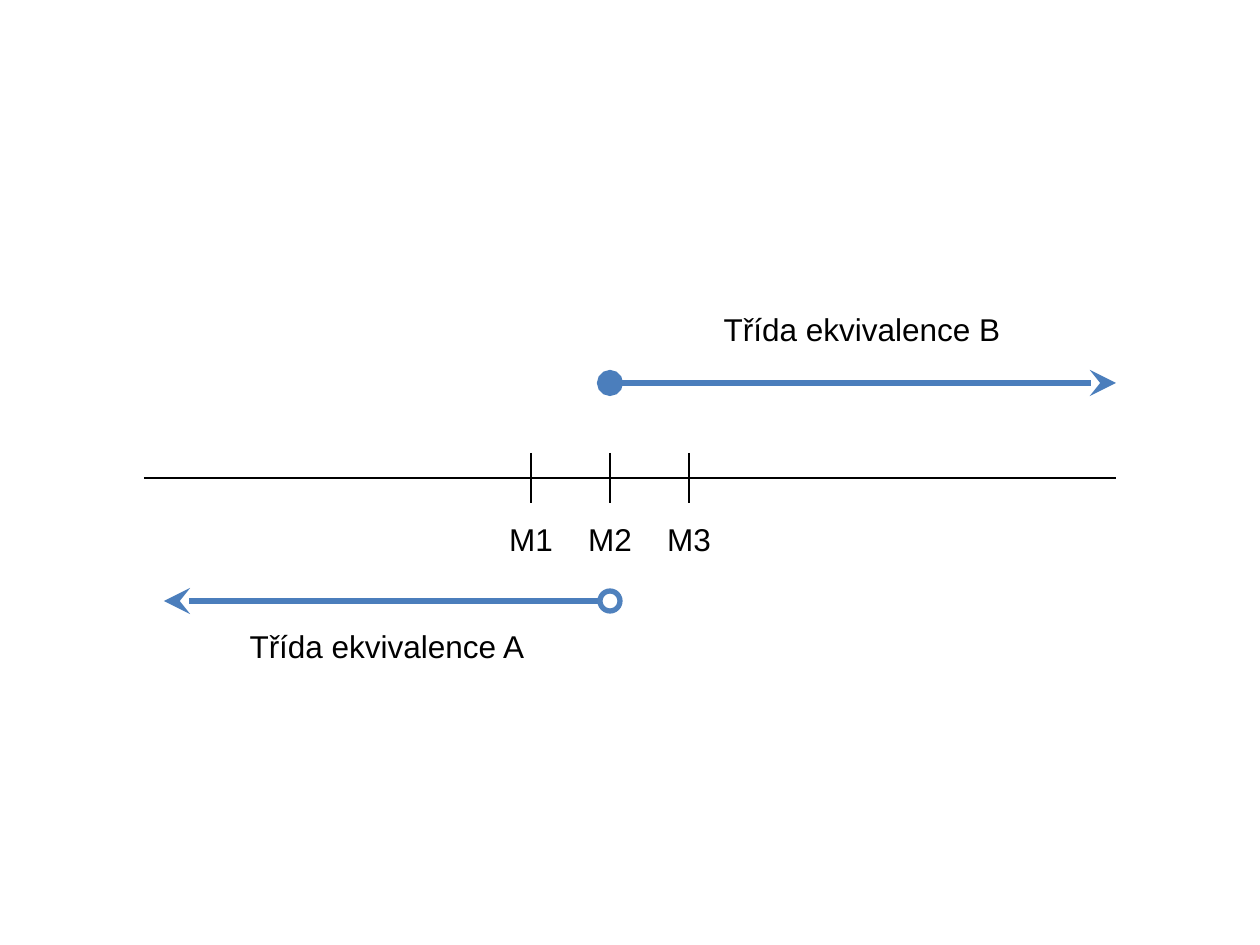
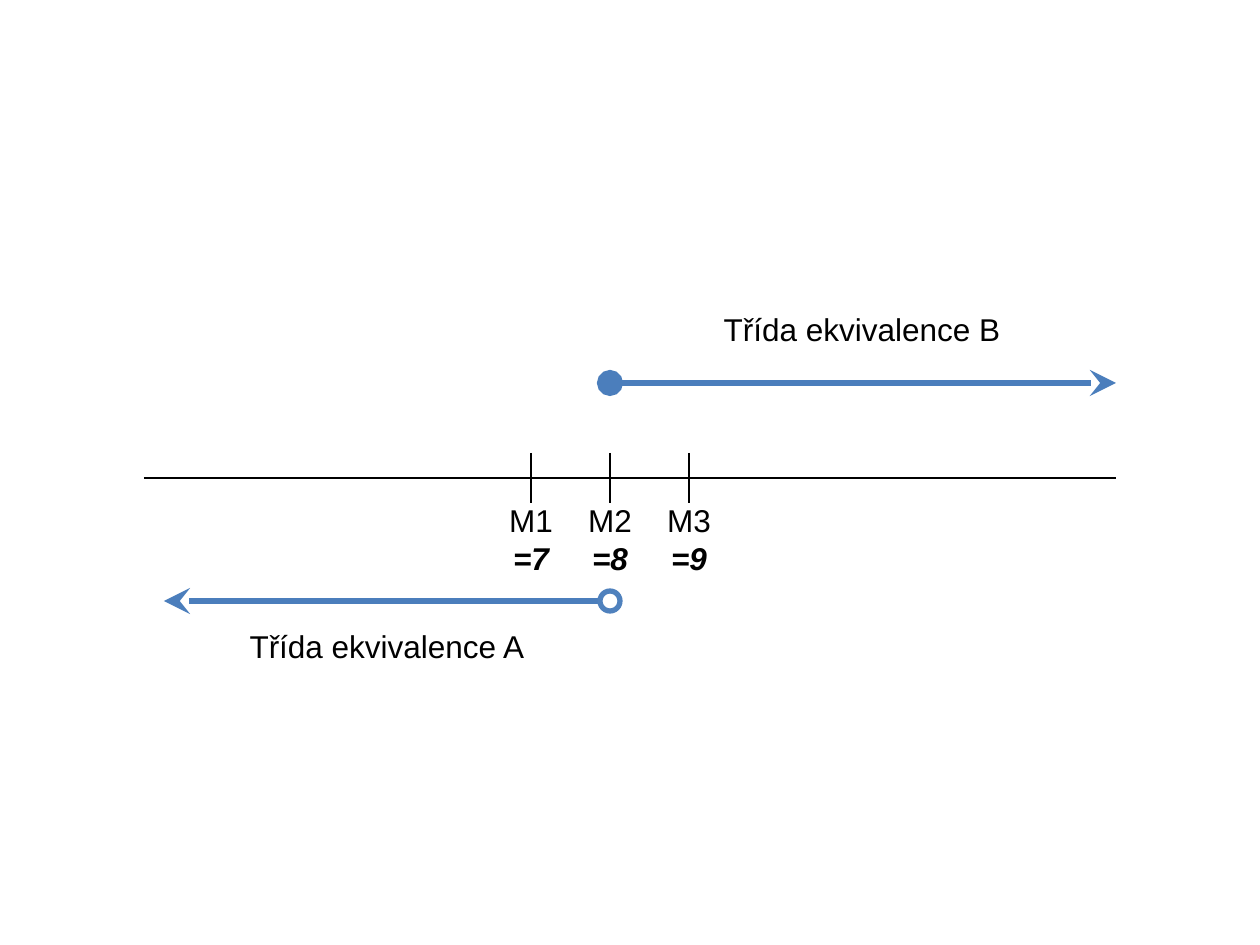
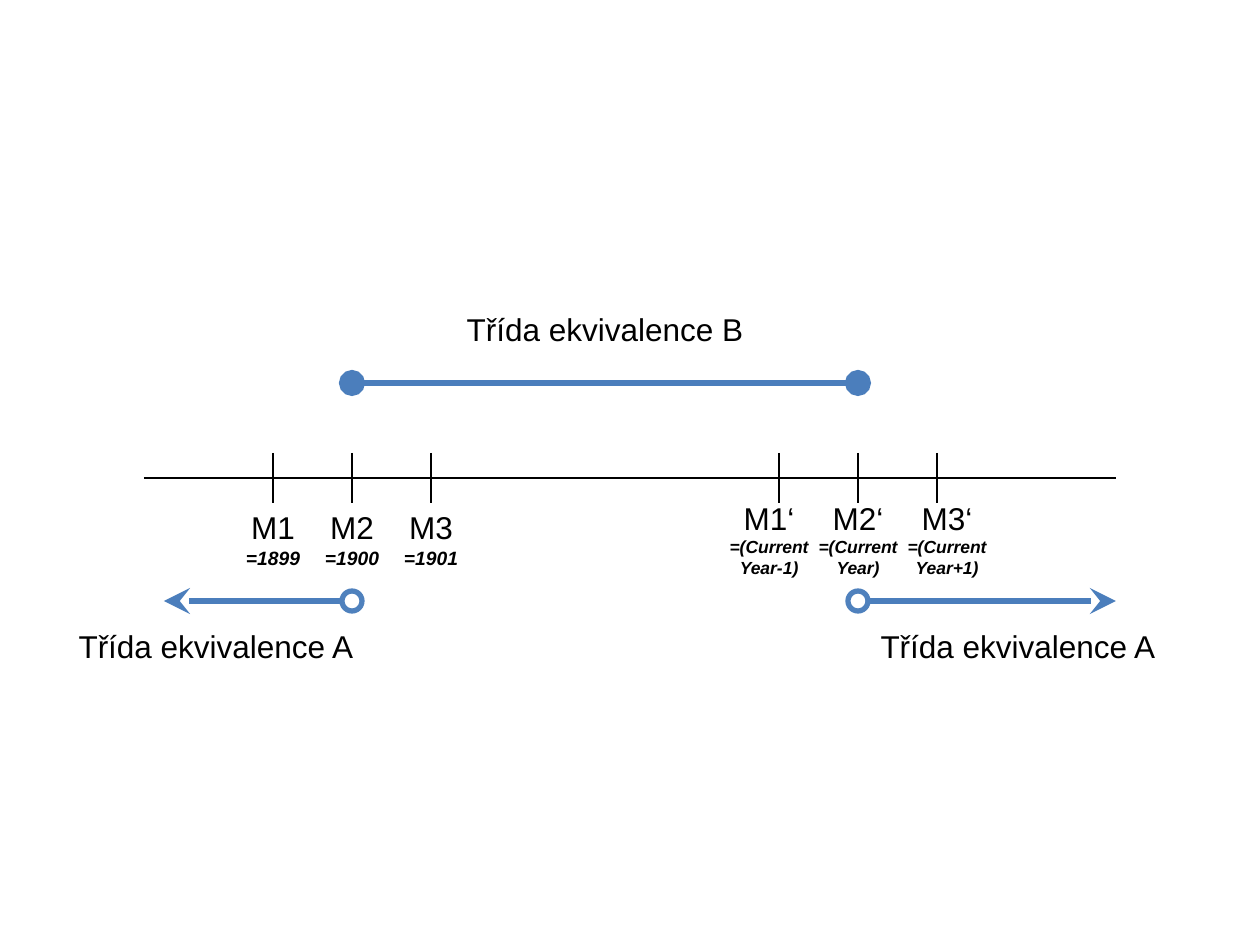
from lxml import etree
from pptx import Presentation
from pptx import util as u
from pptx.dml.color import RGBColor
from pptx.enum import shapes, text
from pptx.oxml import ns

PIXEL = 914400 // 126
BLACK = RGBColor(0x00, 0x00, 0x00)
WHITE = RGBColor(0xFF, 0xFF, 0xFF)
LINE_BLUE = RGBColor(0x4B, 0x7E, 0xBC)
RING_BLUE = RGBColor(0x4F, 0x81, 0xBD)
FONT = "Arial"
AXIS_LEFT, AXIS_RIGHT, AXIS_Y = 144, 1116, 478
ARROW_LEFT = 164
TICK_HALF, TICK_STEP = 25, 79
CLASS_B_Y, CLASS_A_Y = 383, 601
CLASS_B_TOP, MARK_TOP, CLASS_A_TOP = 294, 504, 611
LABEL_WIDTH, LABEL_HEIGHT = 79, 69
RING = 20


def add_line(slide, start, end, color, width, head=None, tail=None):
    connector = slide.shapes.add_connector(
        shapes.MSO_CONNECTOR.STRAIGHT, *(value * PIXEL for value in start + end))
    connector.line.color.rgb = color
    connector.line.width = u.Pt(width)
    outline = connector.get_or_add_ln()
    for tag, kind in (("a:headEnd", head), ("a:tailEnd", tail)):
        if kind:
            etree.SubElement(outline, ns.qn(tag), type=kind, w="lg", len="lg")
    etree.SubElement(connector.element.spPr, ns.qn("a:effectLst"))


def add_label(slide, center, top, name, details=(), detail_size=18):
    label = slide.shapes.add_shape(
        shapes.MSO_SHAPE.RECTANGLE, int((center - LABEL_WIDTH / 2) * PIXEL), top * PIXEL,
        LABEL_WIDTH * PIXEL, LABEL_HEIGHT * PIXEL)
    label.shadow.inherit = False
    label.fill.background()
    label.line.fill.background()
    frame = label.text_frame
    frame.word_wrap = False
    frame.vertical_anchor = text.MSO_ANCHOR.MIDDLE
    frame.margin_left = frame.margin_right = frame.margin_top = frame.margin_bottom = 0
    for index, line in enumerate((name, *details)):
        paragraph = frame.add_paragraph() if index else frame.paragraphs[0]
        paragraph.alignment = text.PP_ALIGN.CENTER
        run = paragraph.add_run()
        run.text = line
        run.font.name = FONT
        run.font.color.rgb = BLACK
        run.font.size = u.Pt(detail_size if index else 18)
        if index:
            run.font.bold = run.font.italic = True


presentation = Presentation()
presentation.slide_width = 1260 * PIXEL
presentation.slide_height = 945 * PIXEL

PLAIN = [("M1",), ("M2",), ("M3",)]
SEVEN_TO_NINE = [("M1", "=7"), ("M2", "=8"), ("M3", "=9")]
FIRST_YEARS = [("M1", "=1899"), ("M2", "=1900"), ("M3", "=1901")]
LAST_YEARS = [("M1‘", "=(Current", "Year-1)"),
              ("M2‘", "=(Current", "Year)"),
              ("M3‘", "=(Current", "Year+1)")]

diagrams = [
    {"class_b": (610, AXIS_RIGHT, "stealth", 862),
     "limits": [(610, ARROW_LEFT, 387, PLAIN, 79, 18)]},
    {"class_b": (610, AXIS_RIGHT, "stealth", 862),
     "limits": [(610, ARROW_LEFT, 387, SEVEN_TO_NINE, 79, 18)]},
    {"class_b": (352, 858, "oval", 605),
     "limits": [(352, ARROW_LEFT, 216, FIRST_YEARS, 79, 11),
                (858, AXIS_RIGHT, 1018, LAST_YEARS, 89, 10)]},
]

for diagram in diagrams:
    slide = presentation.slides.add_slide(presentation.slide_layouts[6])
    add_line(slide, (AXIS_LEFT, AXIS_Y), (AXIS_RIGHT, AXIS_Y), BLACK, 0.75)
    start, end, tail, center = diagram["class_b"]
    add_line(slide, (start, CLASS_B_Y), (end, CLASS_B_Y), LINE_BLUE, 3, "oval", tail)
    add_label(slide, center, CLASS_B_TOP, "Třída ekvivalence B")

    for limit, arrow_end, center, marks, label_step, detail_size in diagram["limits"]:
        for offset, (name, *details) in zip((-1, 0, 1), marks):
            tick = limit + offset * TICK_STEP
            add_line(slide, (tick, AXIS_Y - TICK_HALF), (tick, AXIS_Y + TICK_HALF), BLACK, 0.75)
            add_label(slide, limit + offset * label_step, MARK_TOP, name, details, detail_size)

        add_line(slide, (limit, CLASS_A_Y), (arrow_end, CLASS_A_Y), LINE_BLUE, 3, tail="stealth")
        ring = slide.shapes.add_shape(
            shapes.MSO_SHAPE.OVAL, (limit - RING // 2) * PIXEL, (CLASS_A_Y - RING // 2) * PIXEL,
            RING * PIXEL, RING * PIXEL)
        ring.shadow.inherit = False
        ring.fill.solid()
        ring.fill.fore_color.rgb = WHITE
        ring.line.color.rgb = RING_BLUE
        ring.line.width = u.Pt(3)
        add_label(slide, center, CLASS_A_TOP, "Třída ekvivalence A")

presentation.save("out.pptx")
